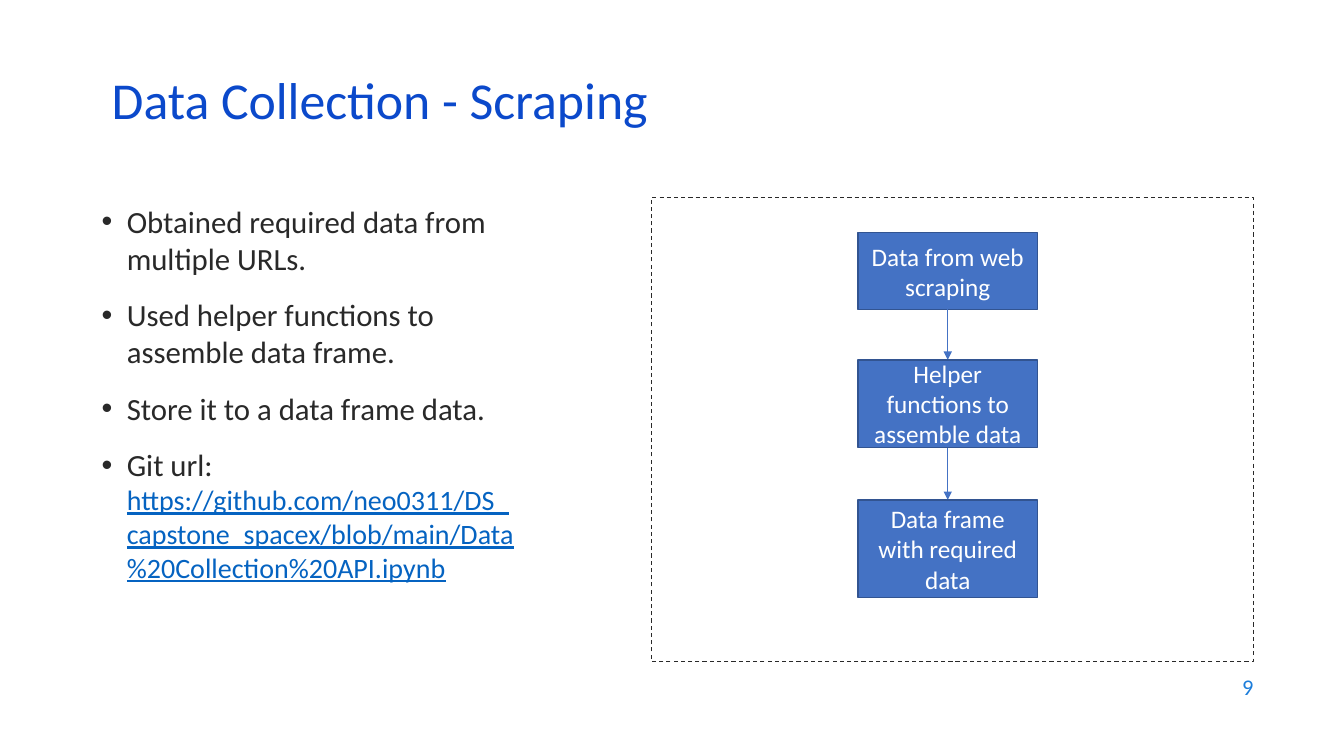
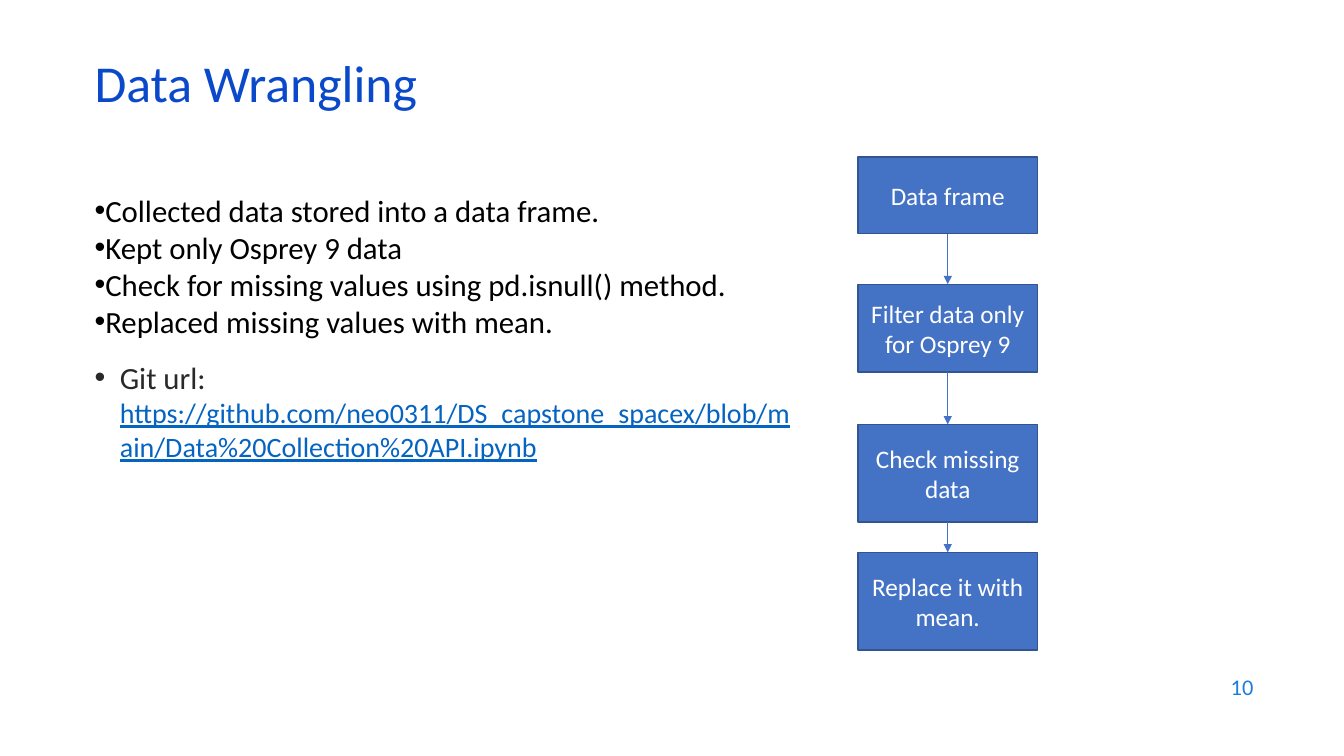
from lxml import etree
from pptx import Presentation
from pptx import util as u
from pptx.dml.color import RGBColor
from pptx.enum import dml, shapes, text
from pptx.oxml import ns

PX = 9144
FONT = "Calibri"
BLUE, PAGE_BLUE, LINK = "0B49CB", "1C7DDB", "0563C1"
BOX_FILL, BOX_EDGE = "4472C4", "325491"
DARK, BLACK, WHITE = "292929", "000000", "FFFFFF"

TITLE = {"size": 37, "color": BLUE}
NUMBER = {"size": 16, "color": PAGE_BLUE}
BODY = {"size": 22, "color": DARK}
PLAIN = {"size": 22, "color": BLACK}
URL = {"size": 20, "color": LINK, "underline": True}
LABEL = {"size": 18, "color": WHITE}

SPACED = {"indent": 25, "space": 14}
TIGHT = {"indent": 0, "space": 0}
GIT_LINK = "https://github.com/neo0311/DS_capstone_spacex/blob/main/Data%20Collection%20API.ipynb"
GIT_ITEM = ([("Git url: ", BODY), (GIT_LINK, URL)], SPACED)

STEP_WIDTH = 178
STEP_HEIGHTS = (76, 87, 97, 97)
STEP_GAPS = (50, 52, 30)


def px(*lengths):
    return [u.Emu(length * PX) for length in lengths]


def color(value):
    return RGBColor.from_string(value)


def add_element(parent, tag, **attributes):
    return etree.SubElement(parent, ns.qn(tag), attributes)


def add_span(para, words, style):
    span = para.add_run()
    span.text = words
    formats = {**style, "name": FONT, "size": u.Pt(style["size"])}
    span.font.color.rgb = color(formats.pop("color"))
    for name, value in formats.items():
        setattr(span.font, name, value)


def add_text(page, box, anchor):
    frame = page.shapes.add_textbox(*px(*box)).text_frame
    frame.word_wrap = True
    frame.vertical_anchor = anchor
    return frame


def add_title(page, box, words):
    para = add_text(page, box, text.MSO_ANCHOR.MIDDLE).paragraphs[0]
    para.line_spacing = 0.7
    add_span(para, words, TITLE)


def add_page_number(page, number):
    para = add_text(page, (953, 659, 300, 44), text.MSO_ANCHOR.MIDDLE).paragraphs[0]
    para.alignment = text.PP_ALIGN.RIGHT
    add_span(para, str(number), NUMBER)


def add_bullets(page, box, items):
    frame = add_text(page, box, text.MSO_ANCHOR.TOP)
    for index, (spans, layout) in enumerate(items):
        para = frame.add_paragraph() if index else frame.paragraphs[0]
        properties = para._p.get_or_add_pPr()
        indent = layout["indent"] * PX
        properties.set("marL", str(indent))
        properties.set("indent", str(-indent))
        add_element(properties, "a:buFont", typeface="Arial")
        add_element(properties, "a:buChar", char="•")
        if index:
            para.space_before = u.Pt(layout["space"])
        for words, style in spans:
            add_span(para, words, style)


def add_frame(page, box):
    frame = page.shapes.add_shape(shapes.MSO_SHAPE.RECTANGLE, *px(*box))
    frame.shadow.inherit = False
    frame.fill.background()
    frame.line.color.rgb = color(DARK)
    frame.line.width = u.Pt(0.75)
    frame.line.dash_style = dml.MSO_LINE.DASH


def add_step(page, box, words):
    step = page.shapes.add_shape(shapes.MSO_SHAPE.FLOWCHART_PROCESS, *px(*box))
    step.shadow.inherit = False
    step.fill.solid()
    step.fill.fore_color.rgb = color(BOX_FILL)
    step.line.color.rgb = color(BOX_EDGE)
    step.line.width = u.Pt(1)
    frame = step.text_frame
    frame.word_wrap = True
    frame.vertical_anchor = text.MSO_ANCHOR.MIDDLE
    para = frame.paragraphs[0]
    para.alignment = text.PP_ALIGN.CENTER
    add_span(para, words, LABEL)


def add_arrow(page, x, top, bottom):
    arrow = page.shapes.add_connector(
        shapes.MSO_CONNECTOR.STRAIGHT, *px(x, top, x, bottom))
    arrow.line.color.rgb = color(BOX_FILL)
    arrow.line.width = u.Pt(0.5)
    add_element(arrow.line._get_or_add_ln(), "a:tailEnd", type="triangle")
    add_element(arrow._element.spPr, "a:effectLst")


def add_flow(page, left, top, labels):
    for index, label in enumerate(labels):
        if index:
            gap = STEP_GAPS[index - 1]
            add_arrow(page, left + STEP_WIDTH // 2, top, top + gap)
            top += gap
        height = STEP_HEIGHTS[index]
        add_step(page, (left, top, STEP_WIDTH, height), label)
        top += height


def add_page(deck, number, title, title_left, title_top):
    page = deck.slides.add_slide(deck.slide_layouts[6])
    add_page_number(page, number)
    add_title(page, (title_left, title_top, 1150, 60), title)
    return page


def scraping_page(deck):
    page = add_page(deck, 9, "Data Collection - Scraping", 101, 76)
    points = (
        "Obtained required data from multiple URLs.",
        "Used helper functions to assemble data frame.",
        "Store it to a data frame data.",
    )
    items = [([(point, BODY)], SPACED) for point in points]
    add_bullets(page, (91, 196, 430, 417), items + [GIT_ITEM])
    add_frame(page, (646, 196, 597, 460))
    add_flow(page, 851, 231, (
        "Data from web scraping",
        "Helper functions to assemble data",
        "Data frame with required data",
    ))


def wrangling_page(deck):
    page = add_page(deck, 10, "Data Wrangling", 84, 59)
    points = (
        "Collected data stored into a data frame.",
        "Kept only Osprey 9 data",
        "Check for missing values using pd.isnull() method.",
        "Replaced missing values with mean.",
    )
    items = [([(point, PLAIN)], TIGHT) for point in points]
    add_bullets(page, (84, 185, 718, 476), items + [GIT_ITEM])
    add_flow(page, 851, 156, (
        "Data frame",
        "Filter data only for Osprey 9",
        "Check missing data",
        "Replace it with mean.",
    ))


def main():
    deck = Presentation()
    deck.slide_width, deck.slide_height = px(1333, 750)
    scraping_page(deck)
    wrangling_page(deck)
    deck.save("out.pptx")


if __name__ == "__main__":
    main()
